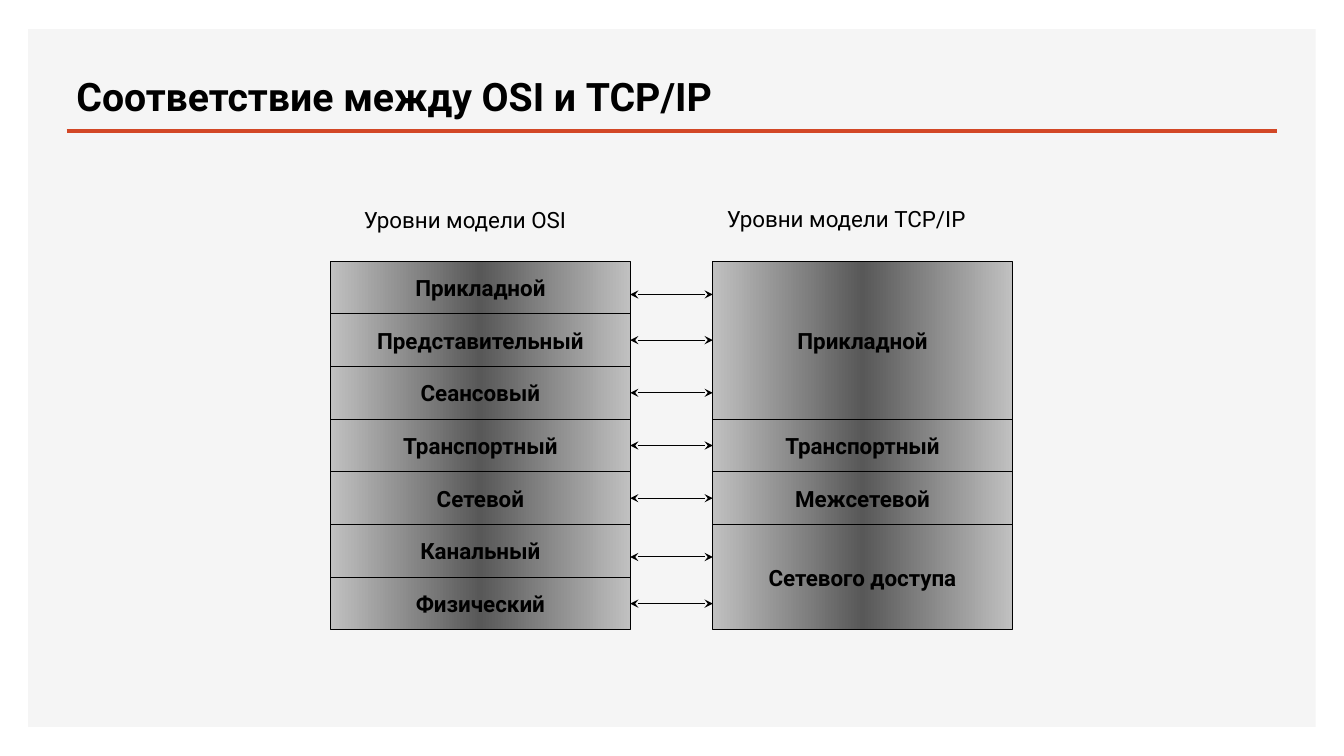
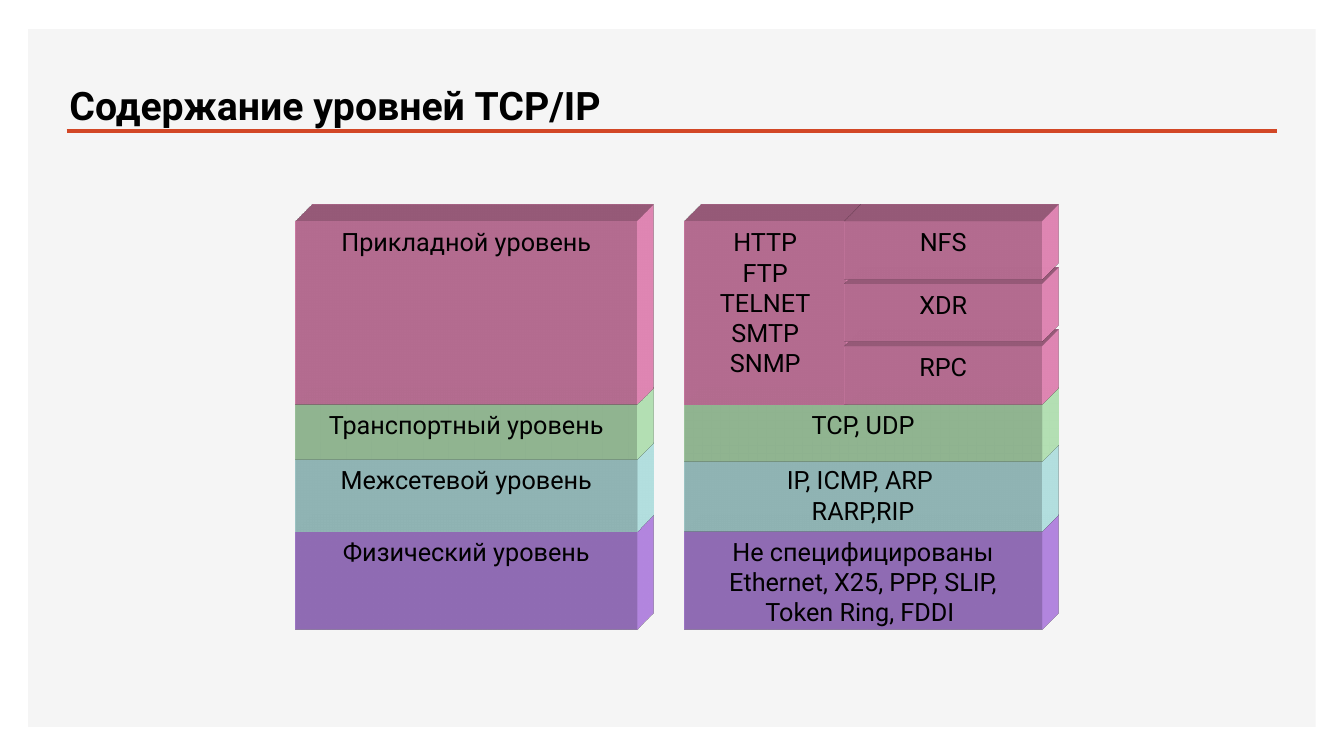
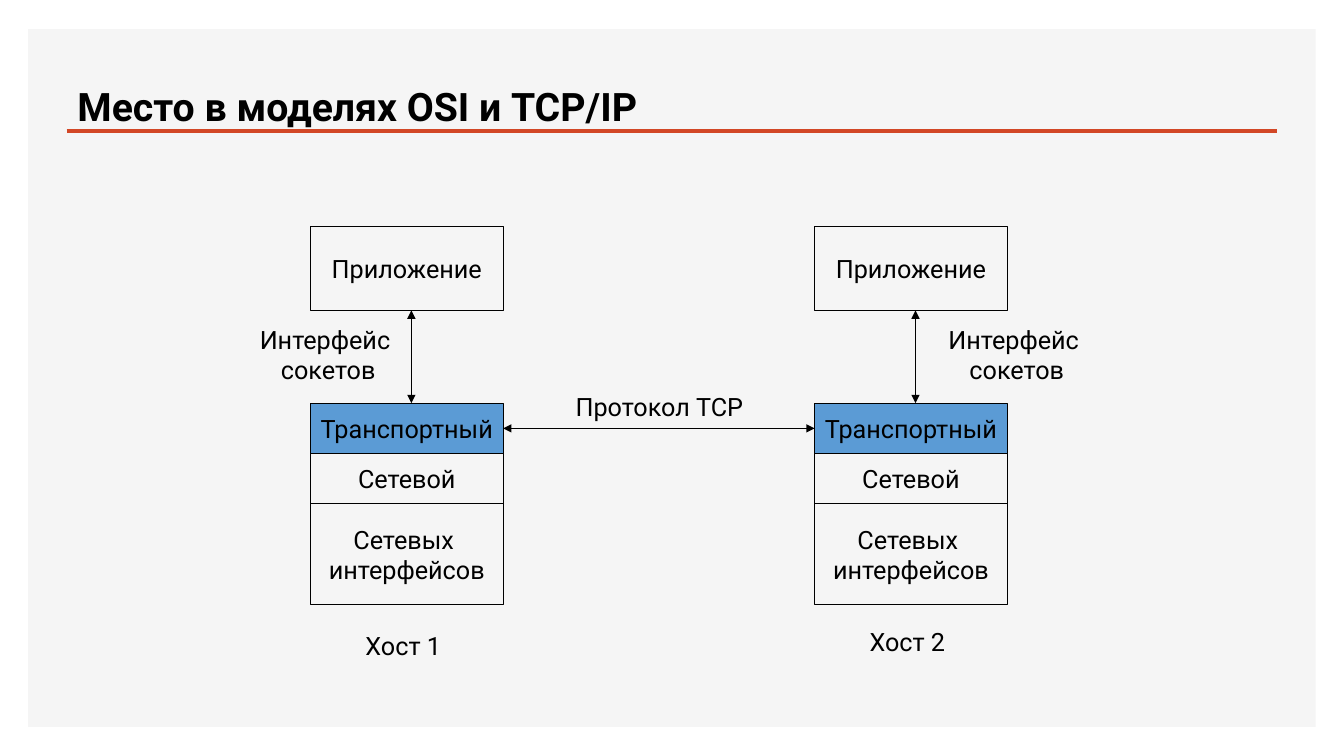
from copy import deepcopy
from dataclasses import dataclass

from lxml import etree
from pptx import Presentation
from pptx.dml.color import RGBColor as Rgb
from pptx.enum.shapes import MSO_CONNECTOR as Connector, MSO_SHAPE as Shape
from pptx.enum.text import MSO_ANCHOR as Anchor, PP_ALIGN as Align
from pptx.oxml.ns import qn
from pptx.oxml.xmlchemy import OxmlElement
from pptx.util import Inches, Pt


@dataclass(frozen=True)
class Theme:
    font: str = "Roboto"
    title_size: int = 28
    body_size: int = 18
    small_size: int = 16
    hairline: float = 0.75
    rule_width: float = 2.25
    block_depth: float = 0.47
    ink: str = "000000"
    panel: str = "F5F5F5"
    accent: str = "D24726"
    metal_edge: str = "C0C0C0"
    metal_middle: str = "585858"
    pink: str = "FF99CC"
    green: str = "CCFFCC"
    cyan: str = "CCFFFF"
    violet: str = "CC99FF"
    blue: str = "5B9BD5"


THEME = Theme()
TIGHT = {"margin_left": 0.06, "margin_right": 0.06, "margin_top": 0.03, "margin_bottom": 0.03}


def set_all(target, values):
    for name, value in values.items():
        setattr(target, name, value)


def add_element(parent, tag, **attributes):
    child = etree.SubElement(parent, qn(tag))
    for name, value in attributes.items():
        child.set(name, str(value))
    return child


def write(box, text, size=THEME.body_size, bold=False, align=Align.CENTER,
          anchor=Anchor.TOP, wrap=True, margins=None):
    """Fill a shape with text, one paragraph for each line."""
    frame = box.text_frame
    frame.text = text
    set_all(frame, {"word_wrap": wrap, "vertical_anchor": anchor})
    set_all(frame, {name: Inches(value) for name, value in (margins or {}).items()})
    for para in frame.paragraphs:
        para.alignment = align
        set_all(para.font, {"name": THEME.font, "size": Pt(size), "bold": bold})
        para.font.color.rgb = Rgb.from_string(THEME.ink)


def add_label(page, left, top, width, height, text, **style):
    box = page.shapes.add_textbox(*map(Inches, (left, top, width, height)))
    write(box, text, **style)


def add_rectangle(page, left, top, width, height, fill=None, line=None):
    box = page.shapes.add_shape(Shape.RECTANGLE, *map(Inches, (left, top, width, height)))
    box.shadow.inherit = False
    if fill:
        box.fill.solid()
        box.fill.fore_color.rgb = Rgb.from_string(fill)
    else:
        box.fill.background()
    if line:
        box.line.color.rgb = Rgb.from_string(line)
        box.line.width = Pt(THEME.hairline)
    else:
        box.line.fill.background()
    return box


def middles(box):
    """Connection points of a rectangle, in site order."""
    centre, middle = box.left + box.width // 2, box.top + box.height // 2
    return [(centre, box.top), (box.left, middle),
            (centre, box.top + box.height), (box.left + box.width, middle)]


def add_line(page, start, end, ink=THEME.ink, width=THEME.hairline, arrow=None, boxes=()):
    """Draw a line and join each end that meets the middle of a box's side."""
    line = page.shapes.add_connector(Connector.STRAIGHT, *map(Inches, (*start, *end)))
    line.line.color.rgb = Rgb.from_string(ink)
    line.line.width = Pt(width)
    properties = line.element.spPr
    if arrow:
        for tag in ("a:headEnd", "a:tailEnd"):
            add_element(properties.find(qn("a:ln")), tag, type=arrow)
    properties.append(OxmlElement("a:effectLst"))
    for point, join in ((start, line.begin_connect), (end, line.end_connect)):
        x, y = map(Inches, point)
        for box in boxes:
            for site, (site_x, site_y) in enumerate(middles(box)):
                if max(abs(x - site_x), abs(y - site_y)) < Inches(0.02):
                    join(box, site)


def add_page(deck, title, left, top, width, height):
    """Start a slide with the panel, the rule and the title in its box."""
    page = deck.slides.add_slide(deck.slide_layouts[6])
    add_rectangle(page, 0.28, 0.29, 12.77, 6.92, fill=THEME.panel)
    add_line(page, (0.66, 1.3), (12.67, 1.3), THEME.accent, THEME.rule_width)
    add_label(page, left, top, width, height, title, size=THEME.title_size,
              bold=True, align=Align.LEFT, anchor=Anchor.BOTTOM)
    return page


def fill_metal(box):
    """Gradient that is light at both sides and dark in the middle."""
    box.fill.gradient()
    box.fill.gradient_angle = 0
    stop_list = box.fill.gradient_stops[0]._gs.getparent()
    stop_list.append(deepcopy(stop_list[-1]))
    tones = (THEME.metal_edge, THEME.metal_middle, THEME.metal_edge)
    for stop, position, tone in zip(box.fill.gradient_stops, (0, 0.5, 1), tones):
        stop.position = position
        stop.color.rgb = Rgb.from_string(tone)


def add_layer_column(page, left, top, width, row, layers):
    """Stack layers, each given as a name and a number of rows."""
    boxes = []
    for name, span in layers:
        box = add_rectangle(page, left, top, width, row * span, line=THEME.ink)
        fill_metal(box)
        write(box, name, size=THEME.small_size, bold=True, anchor=Anchor.MIDDLE, margins=TIGHT)
        boxes.append(box)
        top += row * span
    return boxes


def build_mapping(deck):
    page = add_page(deck, "Соответствие между OSI и TCP/IP", 0.66, 0.25, 12, 0.98)
    left, right, top, width, row = 3.28, 7.07, 2.59, 2.97, 3.66 / 7
    osi = ("Прикладной", "Представительный", "Сеансовый", "Транспортный",
           "Сетевой", "Канальный", "Физический")
    tcp = (("Прикладной", 3), ("Транспортный", 1), ("Межсетевой", 1), ("Сетевого доступа", 2))
    boxes = add_layer_column(page, left, top, width, row, [(name, 1) for name in osi])
    boxes += add_layer_column(page, right, top, width, row, tcp)
    shifts = {0: 0.07, 5: 0.06}
    for index in range(len(osi)):
        y = top + row * (index + 0.5) + shifts.get(index, 0)
        add_line(page, (left + width, y), (right, y), arrow="stealth", boxes=boxes)
    heading = {"size": THEME.small_size, "align": Align.LEFT, "margins": TIGHT}
    add_label(page, 3.55, 2.02, 2.36, 0.33, "Уровни модели OSI", **heading)
    add_label(page, 7.15, 2.01, 2.9, 0.33, "Уровни модели TCP/IP", **heading)


def extrude(box, fill):
    """Give a box a depth that runs to the upper right."""
    properties = box.element.spPr
    scene = add_element(properties, "a:scene3d")
    add_element(scene, "a:camera", prst="legacyObliqueTopRight")
    add_element(scene, "a:lightRig", rig="legacyFlat3", dir="b")
    solid = add_element(properties, "a:sp3d", extrusionH=Inches(THEME.block_depth),
                        prstMaterial="legacyMatte")
    for tag in ("a:bevelT", "a:bevelB"):
        add_element(solid, tag, w=13500, h=13500, prst="angle")
    add_element(add_element(solid, "a:extrusionClr"), "a:srgbClr", val=fill)


def add_block(page, left, top, width, height, fill, text):
    box = add_rectangle(page, left, top, width, height, fill=fill)
    extrude(box, fill)
    write(box, text)


def build_contents(deck):
    page = add_page(deck, "Содержание уровней TCP/IP", 0.59, 0.17, 12.08, 1.15)
    # Lower blocks come first, so that upper ones hide their top faces.
    protocols = (
        (5.27, 0.98, THEME.violet,
         "Не специфицированы\nEthernet, X25, PPP, SLIP, Token Ring, FDDI "),
        (4.56, 0.71, THEME.cyan, "IP, ICMP, ARP \nRARP,RIP"),
        (4.01, 0.57, THEME.green, "TCP, UDP"),
    )
    levels = (
        (5.27, 0.98, THEME.violet, "Физический уровень"),
        (4.56, 0.71, THEME.cyan, "Межсетевой уровень"),
        (4.01, 0.55, THEME.green, "Транспортный уровень"),
        (2.2, 1.81, THEME.pink, "Прикладной уровень"),
    )
    for left, width, blocks in ((6.79, 3.54, protocols), (2.93, 3.39, levels)):
        for top, height, fill, text in blocks:
            add_block(page, left, top, width, height, fill, text)
    add_block(page, 6.79, 2.2, 1.6, 1.81, THEME.pink, "HTTP\nFTP\nTELNET\nSMTP\nSNMP")
    for index, name in reversed(list(enumerate(("NFS", "XDR", "RPC")))):
        add_block(page, 8.38, 2.2 + 0.62 * index, 1.95, 0.57, THEME.pink, name)


def add_host(page, left, name, name_top, socket_left):
    """Draw one host and return its transport box."""
    width = 1.91
    parts = (("Приложение", 2.25, 0.83, None), ("Сетевых \nинтерфейсов", 5, 1, None),
             ("Сетевой", 4.5, 0.5, None), ("Транспортный", 4, 0.5, THEME.blue))
    for text, top, height, fill in parts:
        box = add_rectangle(page, left, top, width, height, fill=fill, line=THEME.ink)
        write(box, text, anchor=Anchor.MIDDLE, wrap=False)
    add_line(page, (left + 1, 3.08), (left + 1, 4), arrow="triangle")
    add_label(page, socket_left, 3.17, 1.67, 0.7, "Интерфейс \nсокетов")
    add_label(page, left - 0.08, name_top, 2, 0.4, name)
    return box


def build_hosts(deck):
    page = add_page(deck, "Место в моделях OSI и TCP/IP", 0.67, 0.17, 12, 1.16)
    transports = [add_host(page, 3.08, "Хост 1", 6.2, 2.42),
                  add_host(page, 8.08, "Хост 2", 6.16, 9.25)]
    add_line(page, (5, 4.25), (8.08, 4.25), arrow="triangle", boxes=transports)
    add_label(page, 5.08, 3.83, 2.92, 0.4, "Протокол TCP")


def main():
    deck = Presentation()
    set_all(deck, {"slide_width": Inches(13.33), "slide_height": Inches(7.5)})
    for build in (build_mapping, build_contents, build_hosts):
        build(deck)
    deck.save("out.pptx")


if __name__ == "__main__":
    main()
